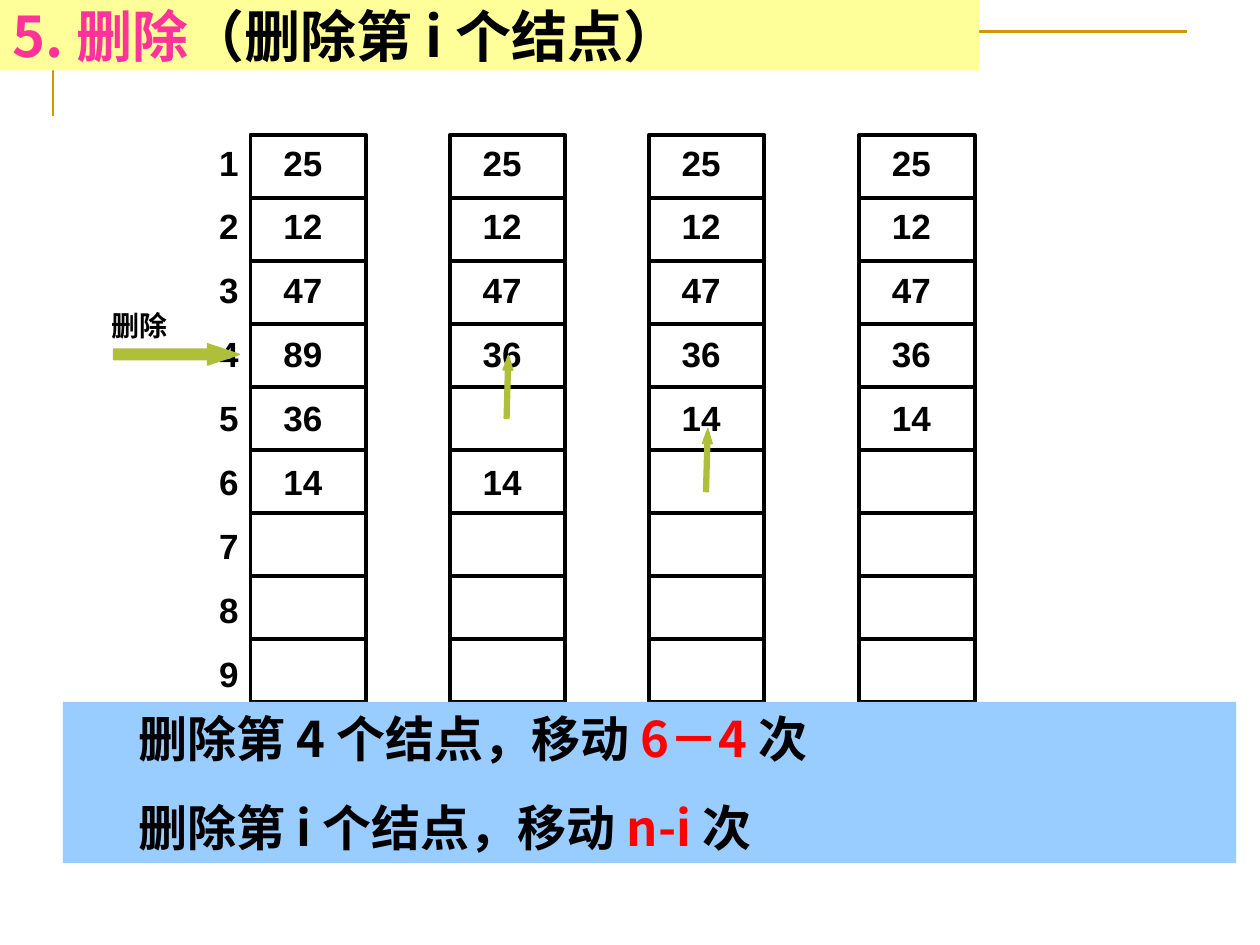
from lxml import etree
from pptx import Presentation
from pptx.dml.color import RGBColor
from pptx.enum.shapes import MSO_CONNECTOR, MSO_SHAPE
from pptx.enum.text import MSO_ANCHOR, PP_ALIGN
from pptx.oxml.ns import qn
from pptx.util import Cm, Pt

RECT, RIGHT, DOWN = MSO_SHAPE.RECTANGLE, MSO_SHAPE.RIGHT_ARROW, MSO_SHAPE.DOWN_ARROW
STRAIGHT = MSO_CONNECTOR.STRAIGHT
CENTER, LEFT = PP_ALIGN.CENTER, PP_ALIGN.LEFT
TOP, MIDDLE = MSO_ANCHOR.TOP, MSO_ANCHOR.MIDDLE

BLACK, WHITE, RED, PINK = "000000", "FFFFFF", "FF0000", "FF3399"
YELLOW, BLUE, GREEN, GOLD = "FFFF99", "99CCFF", "AFBF39", "CC9900"
LATIN, CHINESE = "Arial", "Noto Sans CJK SC"

TITLE = [[("5. 删除", PINK), ("（删除第 i 个结点）", BLACK)]]
SUMMARY = [
    [("删除第 4 个结点，移动 ", BLACK), ("6－4 ", RED), ("次", BLACK)],
    [("删除第 i 个结点，移动 ", BLACK), ("n-i ", RED), ("次", BLACK)],
]
STAGES = [
    (5.05, [25, 12, 47, 89, 36, 14]),
    (9.07, [25, 12, 47, 36, None, 14]),
    (13.08, [25, 12, 47, 36, 14]),
    (17.32, [25, 12, 47, 36, 14]),
]
MOVES = [(10.13, 7.16), (14.15, 8.64)]
ROWS = 9
LIST_TOP, LIST_WIDTH, ROW_HEIGHT = 2.72, 2.33, 1.27
VALUE_SIZE, VALUE_GAP, LINE_FACTOR = 20, 12.5, 1.2
VALUE_WIDTH = 2.11
INDEX_LEFT = 3.56

prs = Presentation()
prs.slide_width, prs.slide_height = Cm(25.4), Cm(19.05)
slide = prs.slides.add_slide(prs.slide_layouts[6])
shapes = slide.shapes


def color(value):
    return RGBColor.from_string(value)


def style(shape, fill, line=None, width=0.75):
    shape.shadow.inherit = False
    if fill:
        shape.fill.solid()
        shape.fill.fore_color.rgb = color(fill)
    else:
        shape.fill.background()
    if line:
        shape.line.color.rgb = color(line)
        shape.line.width = Pt(width)
    else:
        shape.line.fill.background()


def add_block(kind, left, top, width, height, fill, line=None, line_width=0.75):
    block = shapes.add_shape(kind, Cm(left), Cm(top), Cm(width), Cm(height))
    style(block, fill, line, line_width)
    return block


def add_rule(left, right, y):
    rule = shapes.add_connector(STRAIGHT, Cm(left), Cm(y), Cm(right), Cm(y))
    rule.line.color.rgb = color(BLACK)
    rule.line.width = Pt(2.25)
    etree.SubElement(rule._element.spPr, qn("a:effectLst"))


def write(shape, paragraphs, size, font=LATIN, align=CENTER, anchor=TOP, gaps=(), indent=0):
    frame = shape.text_frame
    frame.word_wrap = True
    frame.vertical_anchor = anchor
    for i, runs in enumerate(paragraphs):
        paragraph = frame.add_paragraph() if i else frame.paragraphs[0]
        paragraph.alignment = align
        paragraph.line_spacing = Pt(size * LINE_FACTOR)
        if i:
            paragraph.space_before = Pt(gaps[i])
        if indent:
            paragraph._p.get_or_add_pPr().set("marL", str(Cm(indent)))
        for text, ink in runs:
            run = paragraph.add_run()
            run.text = text
            run.font.size, run.font.bold, run.font.name = Pt(size), True, font
            run.font.color.rgb = color(ink)
            east_asian = etree.SubElement(run._r.get_or_add_rPr(), qn("a:ea"))
            east_asian.set("typeface", CHINESE)


def add_values(left, values):
    rows = [row for row, value in enumerate(values) if value is not None]
    pitch = VALUE_SIZE * LINE_FACTOR + VALUE_GAP
    gaps = [0] + [VALUE_GAP + (b - a - 1) * pitch for a, b in zip(rows, rows[1:])]
    height = ROW_HEIGHT * len(values)
    box = shapes.add_textbox(Cm(left), Cm(LIST_TOP), Cm(VALUE_WIDTH), Cm(height))
    write(box, [[(str(values[row]), BLACK)] for row in rows], VALUE_SIZE, gaps=gaps)


corner = shapes.build_freeform(Cm(1.07), Cm(2.34))
corner.add_line_segments([(Cm(1.07), Cm(0.64)), (Cm(23.93), Cm(0.64))], close=False)
style(corner.convert_to_shape(), None, GOLD, 1.5)

for left, values in STAGES:
    add_block(RECT, left, LIST_TOP, LIST_WIDTH, ROWS * ROW_HEIGHT, WHITE, BLACK, 2.25)
    for row in range(1, ROWS):
        add_rule(left, left + LIST_WIDTH, LIST_TOP + row * ROW_HEIGHT)
    add_values(left, values)
add_values(INDEX_LEFT, range(1, ROWS + 1))

for left, top in MOVES:
    move = add_block(DOWN, left, top, 0.2, 1.27, GREEN, GREEN)
    move.adjustments[1] = 1.5
    move.rotation = 181.6

delete_arrow = add_block(RIGHT, 2.29, 6.93, 2.54, 0.43, GREEN, GREEN)
delete_arrow.adjustments[1] = 1.5
delete_label = shapes.add_textbox(Cm(1.65), Cm(6.1), Cm(2.34), Cm(0.94))
write(delete_label, [[("删除", BLACK)]], 16)

title = add_block(RECT, 0, 0, 19.74, 1.42, YELLOW)
write(title, TITLE, 32, font=CHINESE, align=LEFT, anchor=MIDDLE)

summary = add_block(RECT, 1.27, 14.15, 23.65, 3.25, BLUE)
write(summary, SUMMARY, 28, font=CHINESE, align=LEFT, gaps=[0, 17.5], indent=1.27)

prs.save("out.pptx")
